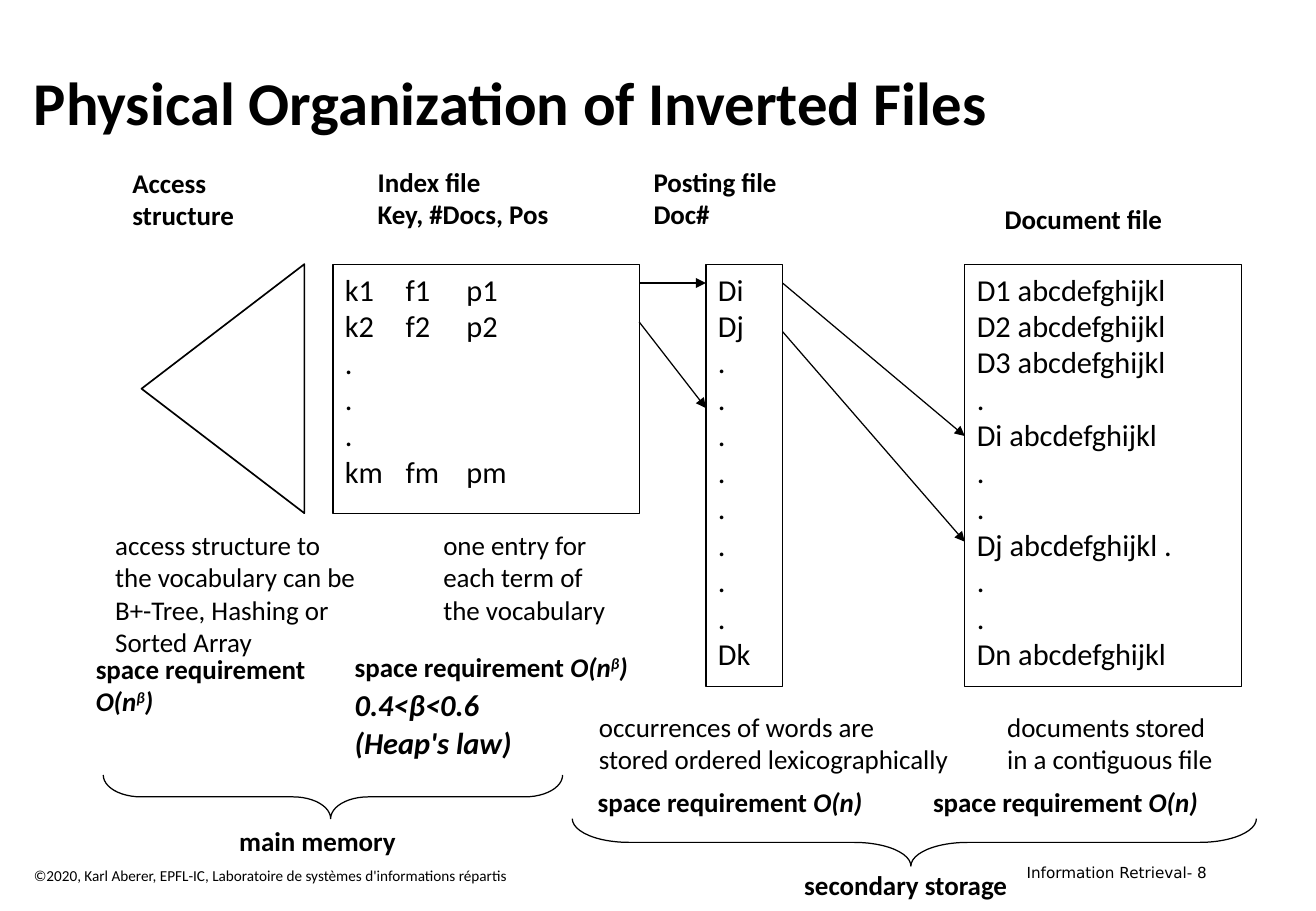
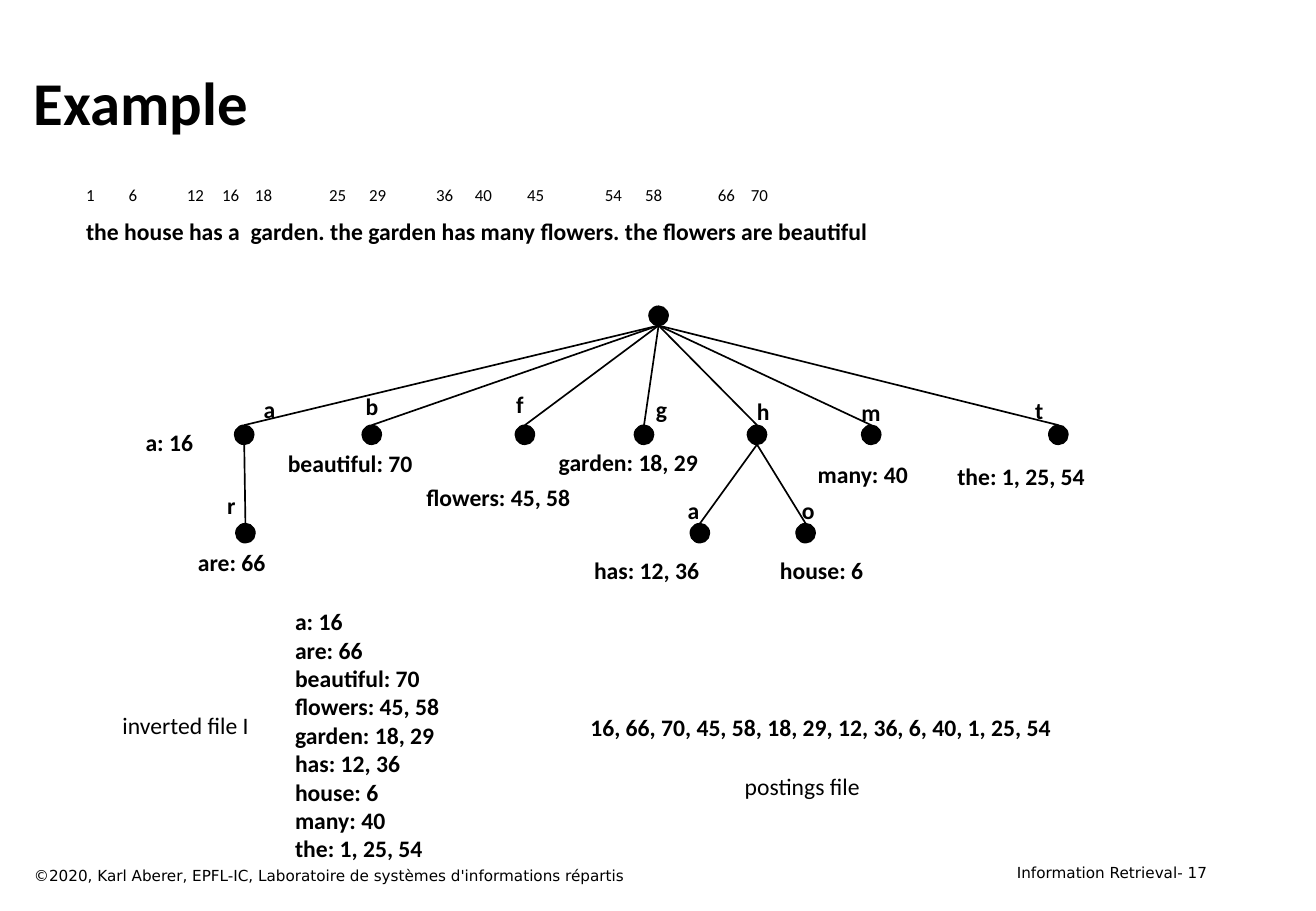
"""Build two slides on the physical organization of inverted files."""
from lxml.etree import SubElement
from pptx import Presentation
from pptx.dml.color import RGBColor
from pptx.enum.shapes import MSO_CONNECTOR, MSO_SHAPE
from pptx.enum.text import MSO_ANCHOR, MSO_AUTO_SIZE, PP_ALIGN
from pptx.oxml.ns import qn
from pptx.util import Inches, Pt

BLACK = RGBColor(0, 0, 0)
BODY, PLAIN = "Calibri", "DejaVu Sans"
COPYRIGHT = "©2020, Karl Aberer, EPFL-IC, Laboratoire de systèmes d'informations répartis"

BOX_TOP = 2.18
FILES = [
    ((7.94, 2.28, 3.47), ["D1 abcdefghijkl", "D2 abcdefghijkl", "D3 abcdefghijkl", ".",
                          "Di abcdefghijkl", ".", ".", "Dj abcdefghijkl .", ".", ".",
                          "Dn abcdefghijkl"]),
    ((5.81, 0.63, 3.47), ["Di", "Dj", *["."] * 8, "Dk"]),
    ((2.74, 2.52, 2.05), ["k1\tf1\tp1", "k2\tf2\tp2", ".", ".", ".", "km\tfm\tpm"]),
]
POINTERS = [
    ((6.44, 2.33), (7.94, 3.59)), ((6.44, 2.73), (7.94, 4.46)),
    ((5.26, 2.33), (5.81, 2.33)), ((5.26, 2.65), (5.81, 3.36)),
]
HEADINGS = [
    ((0.99, 1.32, 1.05, 0.64), ["Access", "structure"]),
    ((3.01, 1.31, 1.63, 0.64), ["Index file", "Key, #Docs, Pos"]),
    ((5.28, 1.31, 1.71, 0.64), ["Posting file", "Doc#"]),
    ((8.17, 1.62, 1.52, 0.37), ["Document file"]),
    ((1.87, 6.74, 1.56, 0.37), ["main memory"]),
    ((6.52, 7.1, 1.95, 0.37), ["secondary storage"]),
]
REMARKS = [
    ((3.55, 4.3, 1.55, 0.91), ["one entry for", "each term of", "the vocabulary"]),
    ((4.83, 5.8, 3.11, 0.64), ["occurrences of words are", "stored ordered lexicographically"]),
    ((8.19, 5.8, 1.91, 0.64), ["documents stored", "in a contiguous file"]),
]
ACCESS_REMARK = ["access structure to",
                 "the vocabulary can be B+-Tree, Hashing or Sorted Array"]
SUBLINEAR = [("O(n", "italic"), ("β", "raised"), (")", "italic")]
NEED = ("space requirement ", "")
LINEAR_NEED = [[NEED, ("O(n)", "italic")]]
HEAPS_LAW = [[("0.4<β<0.6", "italic")], [("(Heap's law)", "italic")]]
BRACES = [((2.56, 4.67, 0.36, 3.78), 0.863), ((7.33, 4.12, 0.39, 5.63), 1.196)]

SENTENCE = "the house has a  garden. the garden has many flowers. the flowers are beautiful"
OFFSETS = [(1, 0), (6, 0.35), (12, 0.83), (16, 1.12), (18, 1.39), (25, 2), (29, 2.33),
           (36, 2.88), (40, 3.2), (45, 3.63), (54, 4.27), (58, 4.6), (66, 5.2), (70, 5.47)]
POSTINGS = {
    "a": "16", "are": "66", "beautiful": "70", "flowers": "45, 58", "garden": "18, 29",
    "has": "12, 36", "house": "6", "many": "40", "the": "1, 25, 54",
}
ROOT = (5.42, 2.6)
LEVEL_1, LEVEL_2 = 3.58, 4.39
RADIUS = 0.08
H_NODE, A_NODE = (6.23, LEVEL_1), (2.01, LEVEL_1)
TRIE = [
    (ROOT, A_NODE, "a", (2.07, 3.2, 0.31)),
    (ROOT, (3.06, LEVEL_1), "b", (2.91, 3.18, 0.32)),
    (ROOT, (4.32, LEVEL_1), "f", (4.15, 3.16, 0.26)),
    (ROOT, (5.3, LEVEL_1), "g", (5.3, 3.2, 0.3)),
    (ROOT, H_NODE, "h", (6.13, 3.22, 0.31)),
    (ROOT, (7.17, LEVEL_1), "m", (6.99, 3.23, 0.36)),
    (ROOT, (8.71, LEVEL_1), "t", (8.42, 3.21, 0.27)),
    (A_NODE, (2.02, LEVEL_2), "r", (1.77, 3.99, 0.27)),
    (H_NODE, (5.76, LEVEL_2), "a", (5.56, 4.03, 0.31)),
    (H_NODE, (6.63, LEVEL_2), "o", (6.5, 4.03, 0.31)),
]
WORD_PLACES = {
    "a": (1.1, 3.47, 0.64), "are": (1.53, 4.46, 0.81), "beautiful": (2.27, 3.65, 1.24),
    "flowers": (3.41, 3.93, 1.44), "garden": (4.5, 3.64, 1.4), "has": (4.79, 4.53, 1.12),
    "house": (6.32, 4.53, 0.94), "many": (6.63, 3.74, 0.99), "the": (7.78, 3.75, 1.3),
}
LINE_HEIGHT = 0.34


def inches(values):
    return [Inches(value) for value in values]


def write(frame, lines, size, bold=False, font=BODY, align=PP_ALIGN.LEFT):
    for number, line in enumerate(lines):
        paragraph = frame.paragraphs[0] if number == 0 else frame.add_paragraph()
        paragraph.alignment = align
        paragraph.font.size, paragraph.font.bold = Pt(size), bold
        paragraph.font.name = font
        paragraph.font.color.rgb = BLACK
        for words, style in [(line, "")] if isinstance(line, str) else line:
            run = paragraph.add_run()
            run.text = words
            if style:
                run.font.italic = True
            if style == "raised":
                run.font._element.set("baseline", "30000")


def add_text(slide, place, lines, size, bold=False, wrap=False, **style):
    frame = slide.shapes.add_textbox(*inches(place)).text_frame
    frame.word_wrap = wrap
    frame.auto_size = MSO_AUTO_SIZE.NONE if wrap else MSO_AUTO_SIZE.SHAPE_TO_FIT_TEXT
    write(frame, lines, size, bold, **style)
    return frame


def add_outline(slide, preset, place, weight=0.75, rotation=0):
    outline = slide.shapes.add_shape(preset, *inches(place))
    outline.shadow.inherit = False
    outline.fill.background()
    outline.line.color.rgb, outline.line.width = BLACK, Pt(weight)
    outline.rotation = rotation
    return outline


def add_line(slide, start, end, weight, arrow=False):
    line = slide.shapes.add_connector(MSO_CONNECTOR.STRAIGHT, *inches((*start, *end)))
    line.line.color.rgb, line.line.width = BLACK, Pt(weight)
    if arrow:
        SubElement(line.line._get_or_add_ln(), qn("a:tailEnd"), type="triangle")
    SubElement(line._element.spPr, qn("a:effectLst"))


def add_slide(deck, title, number, footer_font):
    slide = deck.slides.add_slide(deck.slide_layouts[6])
    heading = add_text(slide, (0.18, 0.33, 9.84, 1), [title], 36, True, wrap=True)
    heading.vertical_anchor = MSO_ANCHOR.MIDDLE
    add_text(slide, (0.18, 7.08, 6.95, 0.25), [COPYRIGHT], 9, wrap=True, font=footer_font)
    add_text(slide, (7.77, 7.06, 2.26, 0.25), [f"Information Retrieval- {number}"], 9,
             wrap=True, font=PLAIN, align=PP_ALIGN.RIGHT)
    return slide


def add_need(slide, place, lines):
    frame = add_text(slide, place, lines, 16, True)
    for number, paragraph in enumerate(frame.paragraphs):
        paragraph.line_spacing = 0.9
        paragraph.font.size = Pt(18 if number else 16)
        paragraph.space_before = Pt(3.6 if number else 3.2)


def build_organization(deck):
    slide = add_slide(deck, "Physical Organization of Inverted Files", 8, BODY)
    for (left, width, height), entries in FILES:
        box = add_outline(slide, MSO_SHAPE.RECTANGLE, (left, BOX_TOP, width, height))
        box.text_frame.word_wrap = False
        box.text_frame.vertical_anchor = MSO_ANCHOR.TOP
        write(box.text_frame, entries, 18)
    add_outline(slide, MSO_SHAPE.ISOSCELES_TRIANGLE, (0.81, 2.53, 2.05, 1.34), 1, 270)
    for start, end in POINTERS:
        add_line(slide, start, end, 0.75, arrow=True)
    for place, lines in HEADINGS:
        add_text(slide, place, lines, 16, True)
    for place, lines in REMARKS:
        add_text(slide, place, lines, 16)
    add_text(slide, (0.85, 4.3, 2.36, 1.18), ACCESS_REMARK, 16, wrap=True)
    add_text(slide, (0.69, 5.32, 2, 0.64), ["space requirement", SUBLINEAR], 16, True)
    add_need(slide, (2.82, 5.34, 2.49, 1.01), [[NEED, *SUBLINEAR], *HEAPS_LAW])
    for left in (4.82, 7.58):
        add_need(slide, (left, 6.45, 2.41, 0.34), LINEAR_NEED)
    for place, curl in BRACES:
        brace = add_outline(slide, MSO_SHAPE.LEFT_BRACE, place, rotation=270)
        brace.adjustments[0], brace.adjustments[1] = curl, 0.495


def add_sentence(slide):
    ruler = "\t".join(str(offset) for offset, _ in OFFSETS)
    frame = add_text(slide, (0.61, 1.47, 9.08, 0.87), [ruler, SENTENCE], 14, wrap=True)
    numbers, words = frame.paragraphs
    numbers.font.size, words.font.bold = Pt(10), True
    numbers.space_before, words.space_before = Pt(5), Pt(7)
    stops = SubElement(numbers._p.pPr, qn("a:tabLst"))
    numbers._p.pPr.find(qn("a:defRPr")).addprevious(stops)
    for _, distance in OFFSETS[1:]:
        SubElement(stops, qn("a:tab"), pos=str(Inches(distance)), algn="l")


def add_node(slide, center):
    x, y = center
    node = add_outline(slide, MSO_SHAPE.OVAL, (x - RADIUS, y - RADIUS, 2 * RADIUS, 2 * RADIUS))
    node.fill.solid()
    node.fill.fore_color.rgb = BLACK


def build_example(deck):
    slide = add_slide(deck, "Example", 17, PLAIN)
    add_sentence(slide)
    add_node(slide, ROOT)
    for parent, child, letter, place in TRIE:
        add_line(slide, (parent[0], parent[1] + RADIUS), (child[0], child[1] - RADIUS), 1)
        add_node(slide, child)
        add_text(slide, (*place, LINE_HEIGHT), [letter], 14, True)
    entries = {word: f"{word}: {found}" for word, found in POSTINGS.items()}
    for word, place in WORD_PLACES.items():
        add_text(slide, (*place, LINE_HEIGHT), [entries[word]], 14, True)
    add_text(slide, (2.33, 4.95, 1.4, 2.22), entries.values(), 14, True)
    add_text(slide, (4.76, 5.82, 4.12, LINE_HEIGHT), [", ".join(POSTINGS.values())], 14, True)
    add_text(slide, (0.91, 5.8, 1.3, LINE_HEIGHT), ["inverted file I"], 14)
    add_text(slide, (6.03, 6.31, 1.21, LINE_HEIGHT), ["postings file"], 14)


def main():
    deck = Presentation()
    deck.slide_width, deck.slide_height = Inches(10.83), Inches(7.5)
    build_organization(deck)
    build_example(deck)
    deck.save("out.pptx")


if __name__ == "__main__":
    main()
